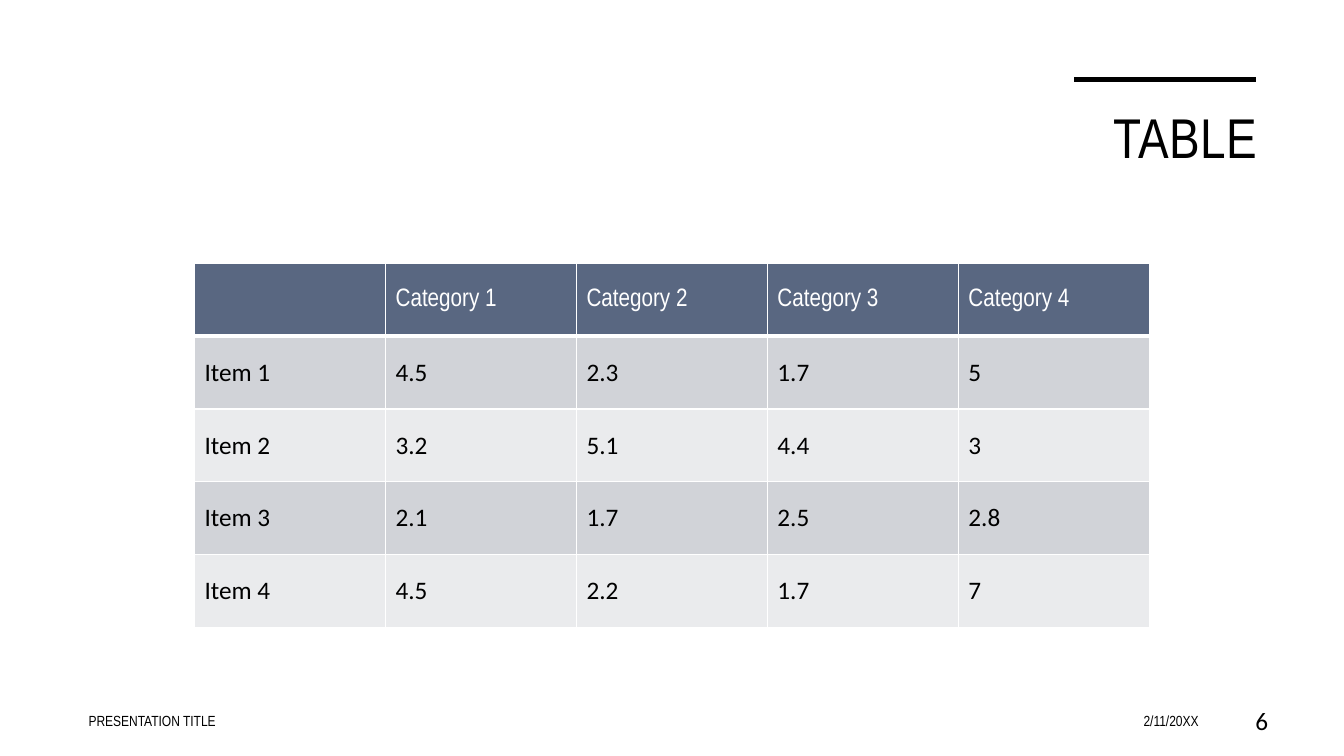
from dataclasses import dataclass

from lxml.etree import SubElement
from pptx import Presentation
from pptx.dml.color import RGBColor
from pptx.enum.shapes import MSO_CONNECTOR
from pptx.enum.text import MSO_ANCHOR, PP_ALIGN
from pptx.oxml import parse_xml
from pptx.oxml.ns import nsdecls, qn
from pptx.util import Pt


@dataclass(frozen=True)
class Theme:
    """Hold the colours, fonts and type sizes."""
    ink: str = "000000"
    white: str = "FFFFFF"
    head: str = "596781"
    bands: tuple = ("D1D3D8", "EAEBED")
    narrow: str = "Arial Narrow"
    plain: str = "Calibri"
    title: float = 40
    body: float = 18
    small: float = 10.5


def write(frame, text, font, size, color, align=PP_ALIGN.LEFT, space=0):
    """Put formatted text into a frame."""
    para = frame.paragraphs[0]
    para.alignment = align
    run = para.add_run()
    run.text = text
    run.font.name = font
    run.font.size = Pt(size)
    run.font.bold = False
    run.font.color.rgb = RGBColor.from_string(color)
    if space:
        run.font._element.set("spc", str(round(space * 100)))


class Deck:
    """Draw styled elements on the current slide."""

    def __init__(self, theme):
        """Start a wide deck with one blank slide."""
        self.theme = theme
        self.show = Presentation()
        self.show.slide_width, self.show.slide_height = Pt(960), Pt(540)
        self.slide = self.show.slides.add_slide(self.show.slide_layouts[6])

    def rule(self, left, right, top, width):
        """Draw a level line."""
        line = self.slide.shapes.add_connector(
            MSO_CONNECTOR.STRAIGHT, Pt(left), Pt(top), Pt(right), Pt(top))
        line.line.color.rgb = RGBColor.from_string(self.theme.ink)
        line.line.width = Pt(width)
        SubElement(line._element.spPr, qn("a:effectLst"))

    def label(self, text, left, top, width, height,
              anchor=MSO_ANCHOR.MIDDLE, **style):
        """Add a text box."""
        box = self.slide.shapes.add_textbox(
            Pt(left), Pt(top), Pt(width), Pt(height))
        frame = box.text_frame
        frame.word_wrap = True
        frame.vertical_anchor = anchor
        write(frame, text, color=self.theme.ink, **style)

    def edge(self, cell, row):
        """Set the white borders of a cell."""
        sizes = {"L": 1, "R": 1, "T": 3 if row == 1 else 1,
                 "B": 3 if row == 0 else 1}
        props = cell._tc.get_or_add_tcPr()
        for place, (side, size) in enumerate(sizes.items()):
            props.insert(place, parse_xml(
                f'<a:ln{side} {nsdecls("a")} w="{Pt(size)}"><a:solidFill>'
                f'<a:srgbClr val="{self.theme.white}"/></a:solidFill></a:ln{side}>'))

    def table(self, data, left, top, wide, high):
        """Add a table with a header and banded rows."""
        look = self.theme
        rows, cols = len(data), len(data[0])
        grid = self.slide.shapes.add_table(
            rows, cols, Pt(left), Pt(top), Pt(wide * cols), Pt(high * rows)).table
        for col in grid.columns:
            col.width = Pt(wide)
        for row, line in enumerate(data):
            grid.rows[row].height = Pt(high)
            fill = look.bands[(row - 1) % 2] if row else look.head
            font = look.plain if row else look.narrow
            color = look.ink if row else look.white
            for col, text in enumerate(line):
                cell = grid.cell(row, col)
                cell.fill.solid()
                cell.fill.fore_color.rgb = RGBColor.from_string(fill)
                cell.vertical_anchor = MSO_ANCHOR.MIDDLE
                self.edge(cell, row)
                if text:
                    write(cell.text_frame, text, font, look.body, color)


def main():
    """Build and save the slide."""
    look = Theme()
    deck = Deck(look)
    deck.rule(767.5, 897, 57, 3.5)
    deck.label("TABLE", 54.7, 69.8, 850.3, 82.8, anchor=MSO_ANCHOR.TOP,
               font=look.narrow, size=look.title, align=PP_ALIGN.RIGHT, space=0.3)
    deck.table([
        ["", "Category 1", "Category 2", "Category 3", "Category 4"],
        ["Item 1", "4.5", "2.3", "1.7", "5"],
        ["Item 2", "3.2", "5.1", "4.4", "3"],
        ["Item 3", "2.1", "1.7", "2.5", "2.8"],
        ["Item 4", "4.5", "2.2", "1.7", "7"],
    ], 139, 188, 136.4, 52.1)
    foot = [
        ("PRESENTATION TITLE", 56.2, 357, look.narrow, look.small, PP_ALIGN.LEFT),
        ("2/11/20XX", 658.8, 204.5, look.narrow, look.small, PP_ALIGN.RIGHT),
        ("6", 859.7, 53.3, look.plain, look.body, PP_ALIGN.RIGHT),
    ]
    for text, left, width, font, size, align in foot:
        deck.label(text, left, 500.4, width, 28.8,
                   font=font, size=size, align=align)
    deck.show.save("out.pptx")


if __name__ == "__main__":
    main()
